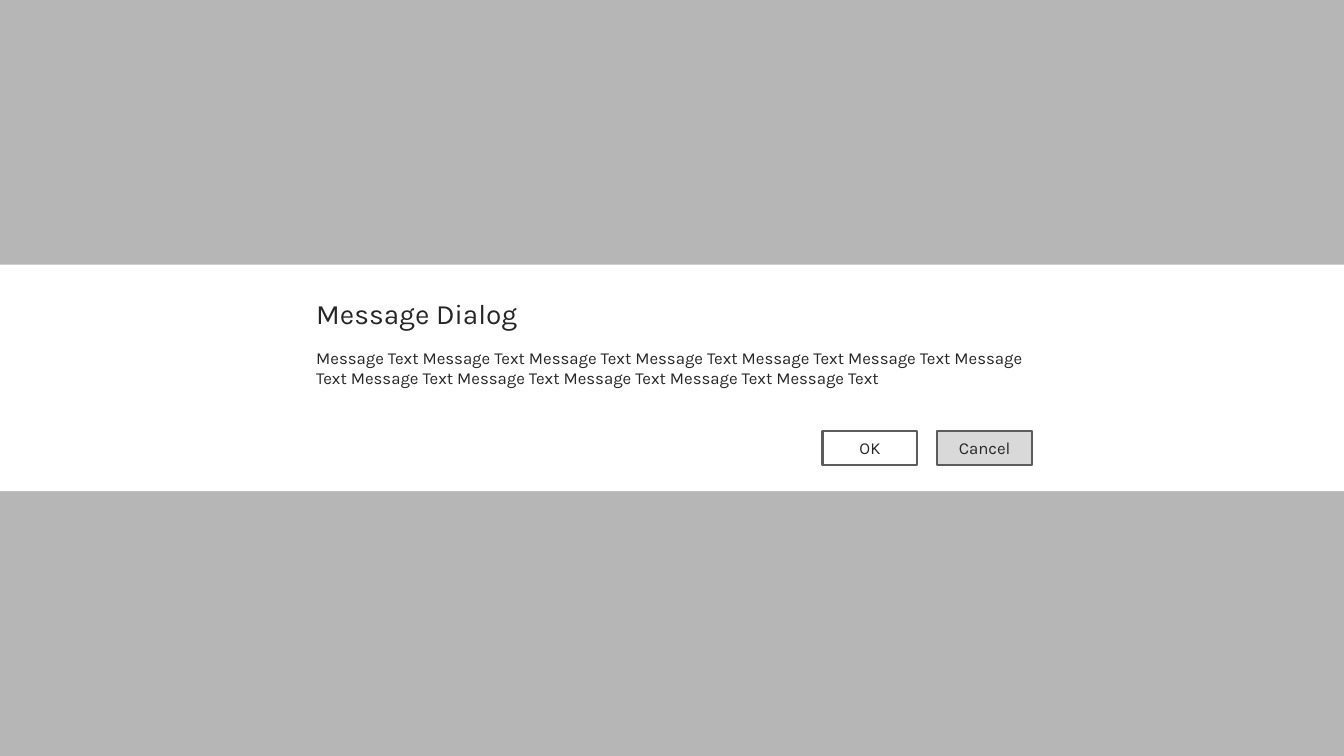
from dataclasses import dataclass
from typing import Optional

from lxml import etree
from pptx import Presentation
from pptx import util as u
from pptx.dml.color import RGBColor
from pptx.enum import shapes, text
from pptx.oxml import ns

COLORS = {
    "page": "ECEEEE",
    "overlay": "929292",
    "white": "FFFFFF",
    "cancel": "D9D9D9",
    "border": "5C5C5C",
    "ink": "262626",
}
FONT = "Karla"
SLIDE_WIDTH, SLIDE_HEIGHT = 33.87, 19.05
CONTENT_LEFT, CONTENT_WIDTH = 7.87, 18.14
BUTTON_WIDTH, BUTTON_HEIGHT, BUTTON_GAP, BUTTON_TOP = 2.39, 0.84, 0.5, 10.87


@dataclass(frozen=True)
class Box:
    """A place on the slide, in centimetres."""
    left: float
    top: float
    width: float
    height: float

    def lengths(self) -> tuple:
        return tuple(u.Cm(n) for n in (self.left, self.top, self.width, self.height))


@dataclass(frozen=True)
class Panel:
    box: Box
    fill: str
    opacity: Optional[int] = None


@dataclass(frozen=True)
class Message:
    box: Box
    words: str
    size: int


@dataclass(frozen=True)
class Button:
    label: str
    fill: str


PANELS = (
    Panel(Box(0, 0, SLIDE_WIDTH, SLIDE_HEIGHT), "overlay", 60),
    Panel(Box(0, 6.67, SLIDE_WIDTH, 5.71), "white"),
)
MESSAGES = (
    Message(Box(CONTENT_LEFT, 7.37, CONTENT_WIDTH, 1.04), "Message Dialog", 20),
    Message(Box(CONTENT_LEFT, 8.66, CONTENT_WIDTH, 1.22),
            " ".join(["Message Text"] * 12), 12),
)
# From the right edge of the content towards the left
BUTTONS = (Button("Cancel", "cancel"), Button("OK", "white"))


def color(name: str) -> RGBColor:
    return RGBColor.from_string(COLORS[name])


def add_rectangle(slide, box: Box, fill: str):
    rectangle = slide.shapes.add_shape(shapes.MSO_SHAPE.RECTANGLE, *box.lengths())
    rectangle.shadow.inherit = False
    rectangle.fill.solid()
    rectangle.fill.fore_color.rgb = color(fill)
    return rectangle


def write(frame, words: str, size: int, inset: float, align, anchor, auto_size) -> None:
    margin = u.Cm(inset)
    frame_format = {
        "word_wrap": True,
        "auto_size": auto_size,
        "vertical_anchor": anchor,
        "margin_left": margin,
        "margin_top": margin,
        "margin_right": margin,
        "margin_bottom": margin,
    }
    for attribute, value in frame_format.items():
        setattr(frame, attribute, value)
    paragraph = frame.paragraphs[0]
    paragraph.alignment = align
    run = paragraph.add_run()
    run.text = words
    for attribute, value in {"name": FONT, "size": u.Pt(size)}.items():
        setattr(run.font, attribute, value)
    run.font.color.rgb = color("ink")


def draw_panel(slide, panel: Panel) -> None:
    rectangle = add_rectangle(slide, panel.box, panel.fill)
    rectangle.line.fill.background()
    if panel.opacity is not None:
        fill_color = rectangle.fill._xPr.find(ns.qn("a:solidFill"))[0]
        etree.SubElement(fill_color, ns.qn("a:alpha"), val=str(panel.opacity * 1000))


def draw_message(slide, message: Message) -> None:
    frame = slide.shapes.add_textbox(*message.box.lengths()).text_frame
    write(frame, message.words, message.size, 0.1, text.PP_ALIGN.LEFT,
          text.MSO_ANCHOR.TOP, text.MSO_AUTO_SIZE.SHAPE_TO_FIT_TEXT)


def draw_button(slide, button: Button, place: int) -> None:
    """Draw the button; place counts from the right, starting at 0."""
    right = CONTENT_LEFT + CONTENT_WIDTH - place * (BUTTON_WIDTH + BUTTON_GAP)
    box = Box(right - BUTTON_WIDTH, BUTTON_TOP, BUTTON_WIDTH, BUTTON_HEIGHT)
    rectangle = add_rectangle(slide, box, button.fill)
    rectangle.line.color.rgb = color("border")
    rectangle.line.width = u.Pt(1.5)
    write(rectangle.text_frame, button.label, 12, 0.13, text.PP_ALIGN.CENTER,
          text.MSO_ANCHOR.MIDDLE, text.MSO_AUTO_SIZE.NONE)


def main() -> None:
    deck = Presentation()
    deck.slide_width, deck.slide_height = u.Cm(SLIDE_WIDTH), u.Cm(SLIDE_HEIGHT)
    slide = deck.slides.add_slide(deck.slide_layouts[6])
    slide.background.fill.solid()
    slide.background.fill.fore_color.rgb = color("page")
    for panel in PANELS:
        draw_panel(slide, panel)
    for message in MESSAGES:
        draw_message(slide, message)
    for place, button in enumerate(BUTTONS):
        draw_button(slide, button, place)
    deck.save("out.pptx")


if __name__ == "__main__":
    main()
